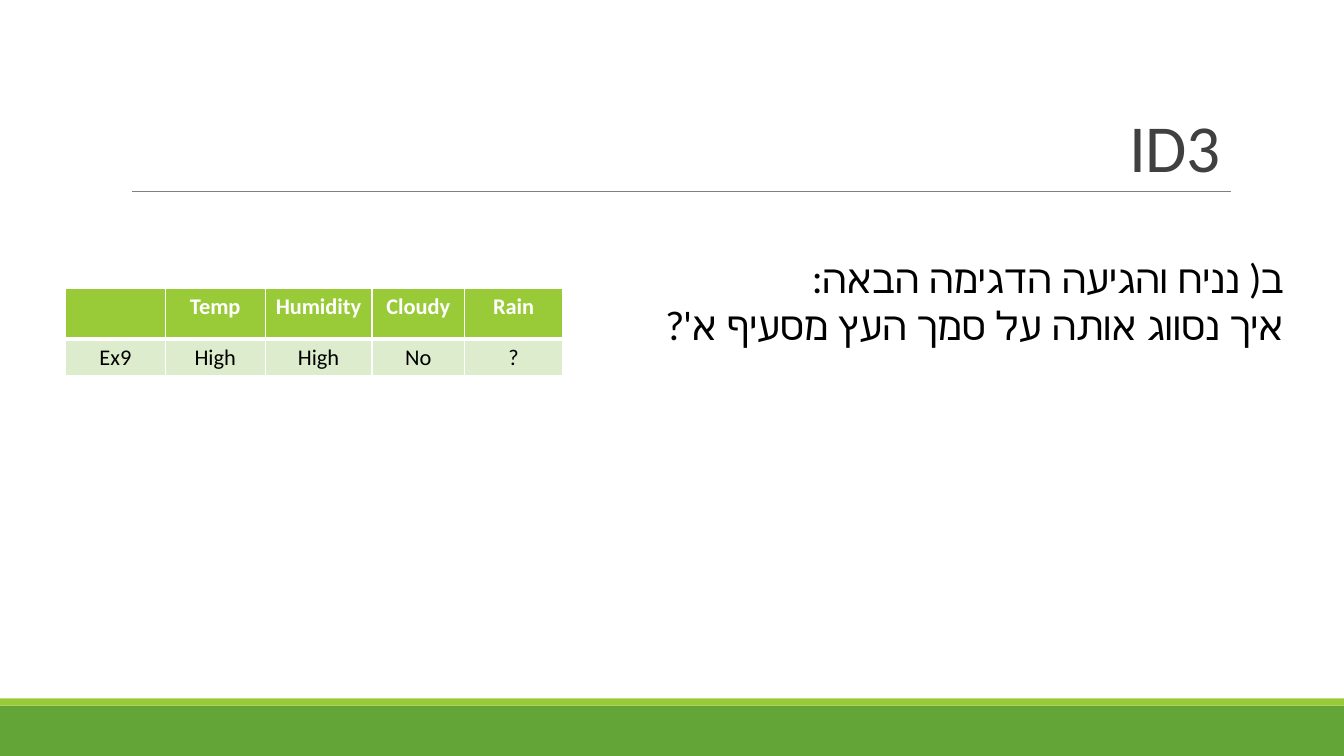
from dataclasses import dataclass

from lxml import etree
from pptx import Presentation
from pptx.dml.color import RGBColor as Color
from pptx.enum.shapes import MSO_CONNECTOR as Connector
from pptx.enum.shapes import MSO_SHAPE as Shape
from pptx.enum.text import MSO_ANCHOR as Anchor
from pptx.enum.text import PP_ALIGN as Align
from pptx.oxml import parse_xml
from pptx.oxml.ns import nsdecls, qn
from pptx.util import Inches, Pt


@dataclass(frozen=True)
class Theme:
    green: str = "63A537"
    lime: str = "99CB38"
    pale: str = "DEECCE"
    white: str = "FFFFFF"
    black: str = "000000"
    heading: str = "404040"
    rule: str = "808080"
    font: str = "Calibri"
    body_font: str = "Lato"
    title_size: int = 48
    body_size: int = 28
    table_size: int = 16


class SlideBuilder:
    def __init__(self, slide, theme):
        self.slide = slide
        self.theme = theme

    def band(self, top, height, color):
        """Draw a borderless strip across the full slide width."""
        strip = self.slide.shapes.add_shape(
            Shape.RECTANGLE, 0, Inches(top), Inches(13.33), Inches(height))
        strip.shadow.inherit = False
        strip.fill.solid()
        strip.fill.fore_color.rgb = Color.from_string(color)
        strip.line.fill.background()

    def rule(self, left, right, top):
        line = self.slide.shapes.add_connector(
            Connector.STRAIGHT, Inches(left), Inches(top), Inches(right), Inches(top))
        line.line.color.rgb = Color.from_string(self.theme.rule)
        line.line.width = Pt(0.5)
        etree.SubElement(line._element.spPr, qn("a:effectLst"))

    def style(self, span, font, size, color, bold=False):
        span.font.name = font
        span.font.size = Pt(size)
        span.font.bold = bold
        span.font.color.rgb = Color.from_string(color)
        etree.SubElement(span._r.get_or_add_rPr(), qn("a:cs"), typeface=font)

    def rtl_text(self, area, text, font, size, color, anchor=Anchor.TOP):
        """Add one right-to-left paragraph and return it."""
        box = self.slide.shapes.add_textbox(*map(Inches, area))
        frame = box.text_frame
        frame.word_wrap = True
        frame.vertical_anchor = anchor
        para = frame.paragraphs[0]
        para.text = text
        para.alignment = Align.RIGHT
        para._p.get_or_add_pPr().set("rtl", "1")
        for span in para.runs:
            self.style(span, font, size, color)
        return para

    def borders(self, cell, bottom):
        widths = {"lnL": 1, "lnR": 1, "lnT": 1, "lnB": bottom}
        properties = cell._tc.get_or_add_tcPr()
        for position, (side, width) in enumerate(widths.items()):
            properties.insert(position, parse_xml(
                f'<a:{side} {nsdecls("a")} w="{Pt(width)}"><a:solidFill>'
                f'<a:srgbClr val="{self.theme.white}"/></a:solidFill></a:{side}>'))

    def table(self, left, top, widths, heights, rows):
        theme = self.theme
        table = self.slide.shapes.add_table(
            len(rows), len(widths), Inches(left), Inches(top),
            Inches(sum(widths)), Inches(sum(heights))).table
        for column, width in zip(table.columns, widths):
            column.width = Inches(width)
        for index, (row, height, texts) in enumerate(zip(table.rows, heights, rows)):
            row.height = Inches(height)
            header = index == 0
            for cell, text in zip(row.cells, texts):
                cell.fill.solid()
                cell.fill.fore_color.rgb = Color.from_string(
                    theme.lime if header else theme.pale)
                self.borders(cell, 3 if header else 1)
                para = cell.text_frame.paragraphs[0]
                para.text = text
                para.alignment = Align.CENTER
                for span in para.runs:
                    self.style(span, theme.font, theme.table_size,
                               theme.white if header else theme.black, header)


def main():
    theme = Theme()
    deck = Presentation()
    deck.slide_width, deck.slide_height = Inches(13.33), Inches(7.5)
    page = SlideBuilder(deck.slides.add_slide(deck.slide_layouts[6]), theme)

    page.band(7, 0.5, theme.green)
    page.band(6.93, 0.07, theme.lime)
    page.rule(1.31, 12.21, 1.9)

    title = page.rtl_text((1.2, 0.31, 11, 1.59), "ID3", theme.font,
                          theme.title_size, theme.heading, Anchor.BOTTOM)
    title.line_spacing = 0.85
    title.runs[0]._r.get_or_add_rPr().set("spc", "-50")

    page.rtl_text((6.16, 2.47, 6.67, 1.04),
                  "ב( נניח והגיעה הדגימה הבאה:\vאיך נסווג אותה על סמך העץ מסעיף א'?",
                  theme.body_font, theme.body_size, theme.black)

    page.table(0.65, 2.86, [0.99, 0.99, 1.06, 0.92, 0.97], [0.5, 0.37], [
        ["", "Temp", "Humidity", "Cloudy", "Rain"],
        ["Ex9", "High", "High", "No", "?"],
    ])
    deck.save("out.pptx")


if __name__ == "__main__":
    main()
